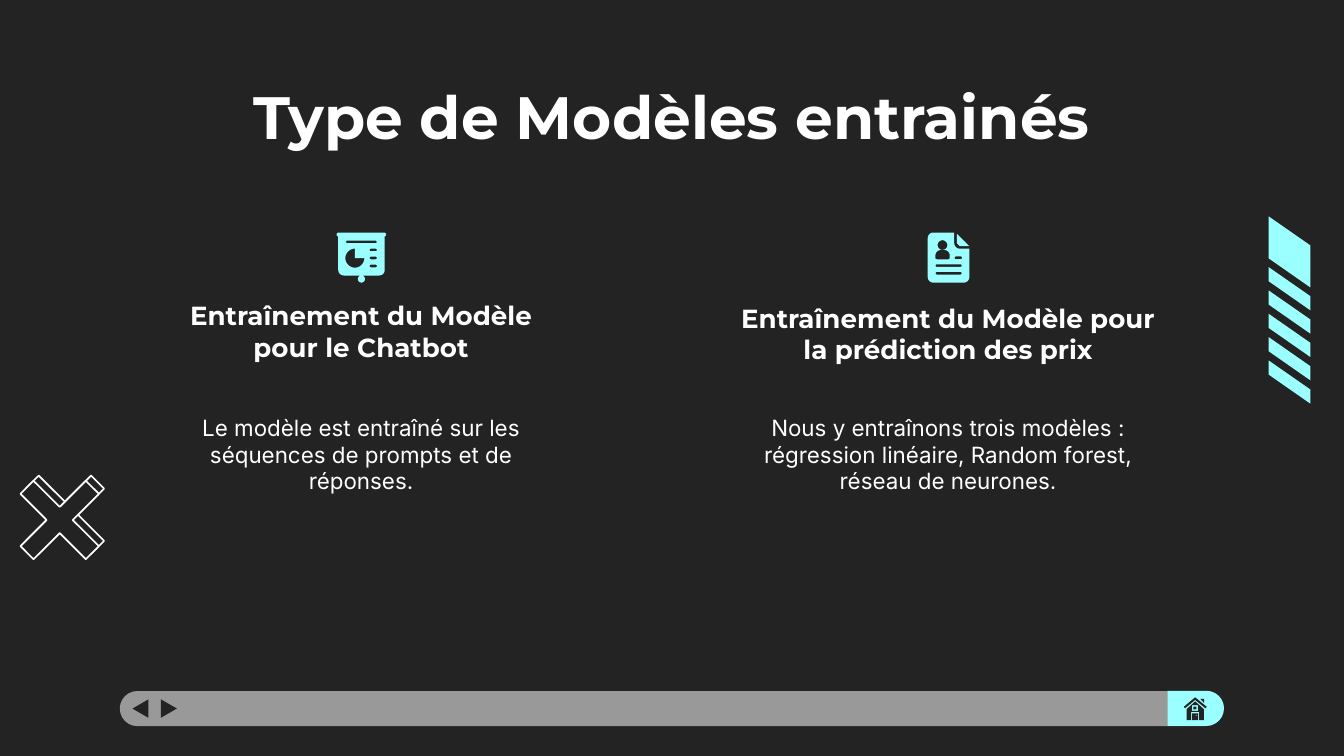
"""Build the slide on the two kinds of trained models."""
import math

import pptx
import pptx.dml.color
import pptx.enum.shapes
import pptx.enum.text
import pptx.util

Pt = pptx.util.Pt
PRESET = pptx.enum.shapes.MSO_SHAPE
ANCHOR = pptx.enum.text.MSO_ANCHOR

COLORS = {"dark": "232323", "cyan": "9CFFFF", "grey": "999999", "white": "FFFFFF"}
FORMATS = {
    "title": {"name": "Montserrat", "size": Pt(32), "bold": True},
    "heading": {"name": "Montserrat", "size": Pt(14), "bold": True},
    "body": {"name": "Inter", "size": Pt(12), "bold": False},
}
FRAME = {"word_wrap": True, "margin_left": Pt(7.2), "margin_right": Pt(7.2),
         "margin_top": Pt(7.2), "margin_bottom": Pt(7.2)}
TEXTS = [
    ("Type de Modèles entrainés", "title", ANCHOR.TOP, (56.7, 35.5, 606.6, 45.1)),
    ("Entraînement du Modèle pour le Chatbot", "heading", ANCHOR.BOTTOM,
     (85.9, 174.9, 215.2, 26.6)),
    ("Entraînement du Modèle pour la prédiction des prix", "heading", ANCHOR.BOTTOM,
     (382.3, 157.5, 251.3, 45.1)),
    ("Le modèle est entraîné sur les séquences de prompts et de réponses.", "body",
     ANCHOR.TOP, (85.9, 214.5, 215.2, 62.6)),
    ("Nous y entraînons trois modèles : régression linéaire, Random forest, "
     "réseau de neurones.", "body", ANCHOR.TOP, (399.6, 214.5, 216.7, 52.6)),
]
NAVIGATION = [
    (PRESET.ROUNDED_RECTANGLE, (64.2, 370.2, 591.2, 18.8), 0, (0.5,), "grey"),
    (PRESET.ROUND_2_SAME_RECTANGLE, (631.2, 364.4, 18.8, 30.2), 90, (0.5, 0), "cyan"),
    (PRESET.ISOSCELES_TRIANGLE, (70.3, 375.3, 9.9, 8.6), 270, (0.5,), "dark"),
    (PRESET.ISOSCELES_TRIANGLE, (85.5, 375.3, 9.9, 8.6), 90, (0.5,), "dark"),
]
CROSS = [(-14, -21), (-21, -14), (-7, 0), (-21, 14), (-14, 21), (0, 7),
         (14, 21), (21, 14), (7, 0), (21, -14), (14, -21), (0, -7)]
CROSS_CENTERS = [(34.8, 275.8), (32, 278.6)]
STRIPE_LEFT, STRIPE_RIGHT, STRIPE_DROP = 679.6, 702, 15.6
STRIPES = [(115.9, 22.5)] + [(143.1 + 12.5 * step, 7.6) for step in range(5)]


def arc(x, y, radius, start=0, end=360):
    count = max(2, abs(end - start) // 10)
    angles = [math.radians(start + (end - start) * i / count) for i in range(count + 1)]
    return [(x + radius * math.cos(a), y + radius * math.sin(a)) for a in angles]


def rounded(x, y, width, height, top, bottom):
    right, base = x + width, y + height
    return (arc(x + top, y + top, top, 180, 270)
            + arc(right - top, y + top, top, 270, 360)
            + arc(right - bottom, base - bottom, bottom, 0, 90)
            + arc(x + bottom, base - bottom, bottom, 90, 180))


def bar(x, y, width, height=1.4):
    return rounded(x, y, width, height, height / 2, height / 2)


BOARD = [
    bar(180.3, 124.6, 26.5, 2.1),
    rounded(181.2, 126.7, 24.9, 20.9, 0, 3),
    arc(193.6, 149.5, 1.9),
    bar(185.4, 128.9, 16.4),
    [(190.1, 138.3)] + arc(190.1, 138.3, 5.1, 0, 270),
] + [bar(198, 133.2 + 4.3 * row, 3.9) for row in range(3)]
DOCUMENT = [
    arc(500, 127.6, 3, 180, 270) + [(511.2, 124.6)] + arc(514.1, 130.3, 2.9, 180, 90)
    + arc(516.3, 148.4, 3, 0, 90) + arc(500, 148.4, 3, 90, 180)
    + [(497, 127.6)],
    arc(504.9, 131.3, 2.6),
    rounded(501.1, 133.9, 7.7, 5, 3, 0.8),
    bar(511.4, 137.4, 4),
    bar(501.2, 141.6, 14),
    bar(501.2, 145.7, 14),
]
DOCUMENT[0].insert(DOCUMENT[0].index(arc(516.3, 148.4, 3, 0, 90)[0]), (519.3, 133.2))
FOLD = [[(512.6, 125.2), (512.6, 130.3), (514.1, 131.8), (519.2, 131.8)]]
HOUSE = [
    [(640.3, 373.6), (646.5, 378.7), (645.8, 379.5), (640.3, 375),
     (634.9, 379.5), (634.2, 378.7)],
    [(640.3, 375.8), (645, 380), (645, 385.8), (642.5, 385.8), (642.5, 381.4),
     (638.1, 381.4), (638.1, 385.8), (635.7, 385.8), (635.7, 380)],
    rounded(638.6, 377.8, 3.3, 3.1, 0.3, 0.3),
    rounded(639.4, 378.6, 1.6, 1.5, 0, 0),
    rounded(638.7, 382.2, 3.2, 3.6, 0, 0),
    arc(640.9, 383.3, 0.3),
    [(643, 374.4), (645.1, 376.6), (645.1, 374.4)],
]


def rgb(color):
    return pptx.dml.color.RGBColor.from_string(COLORS[color])


def paint(shape, fill, line=None):
    shape.shadow.inherit = False
    shape.fill.solid()
    shape.fill.fore_color.rgb = rgb(fill)
    if line:
        shape.line.color.rgb = rgb(line)
        shape.line.width = Pt(0.9)
    else:
        shape.line.fill.background()


def add_outline(slide, contours, fill, line=None):
    outlines = [[(Pt(x), Pt(y)) for x, y in contour] for contour in contours]
    builder = slide.shapes.build_freeform(*outlines[0][0])
    for number, points in enumerate(outlines):
        if number:
            builder.move_to(*points[0])
        builder.add_line_segments(points[1:], close=True)
    paint(builder.convert_to_shape(), fill, line)


def add_text(slide, text, style, anchor, box):
    frame = slide.shapes.add_textbox(*map(Pt, box)).text_frame
    for key, value in FRAME.items():
        setattr(frame, key, value)
    frame.vertical_anchor = anchor
    paragraph = frame.paragraphs[0]
    paragraph.alignment = pptx.enum.text.PP_ALIGN.CENTER
    run = paragraph.add_run()
    run.text = text
    for key, value in FORMATS[style].items():
        setattr(run.font, key, value)
    run.font.color.rgb = rgb("white")


def main():
    deck = pptx.Presentation()
    deck.slide_width, deck.slide_height = Pt(720), Pt(405)
    slide = deck.slides.add_slide(deck.slide_layouts[6])
    slide.background.fill.solid()
    slide.background.fill.fore_color.rgb = rgb("dark")

    for preset, box, rotation, adjustments, color in NAVIGATION:
        shape = slide.shapes.add_shape(preset, *map(Pt, box))
        shape.rotation = rotation
        for index, value in enumerate(adjustments):
            shape.adjustments[index] = value
        paint(shape, color)
    add_outline(slide, HOUSE, "dark")

    for center_x, center_y in CROSS_CENTERS:
        add_outline(slide, [[(center_x + x, center_y + y) for x, y in CROSS]],
                    "dark", "white")
    for top, height in STRIPES:
        add_outline(slide, [[(STRIPE_LEFT, top), (STRIPE_LEFT, top + height),
                             (STRIPE_RIGHT, top + height + STRIPE_DROP),
                             (STRIPE_RIGHT, top + STRIPE_DROP)]], "cyan")

    for entry in TEXTS:
        add_text(slide, *entry)
    for icon in (BOARD, FOLD, DOCUMENT):
        add_outline(slide, icon, "cyan")
    deck.save("out.pptx")


if __name__ == "__main__":
    main()
